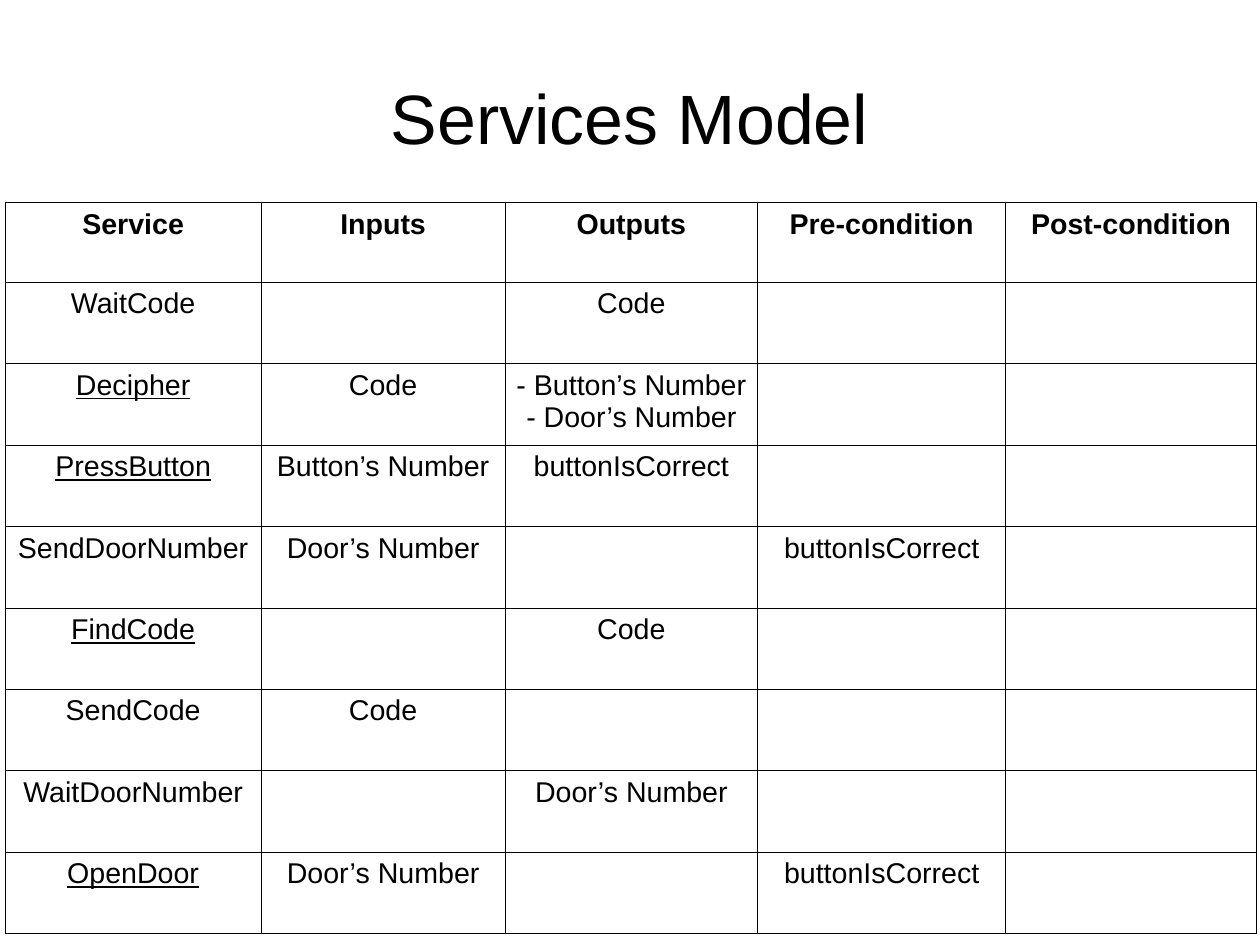
"""Build the Services Model slide with its table of services."""
from dataclasses import dataclass

from lxml import etree
from pptx import Presentation
from pptx.dml.color import RGBColor
from pptx.enum import text as tx
from pptx.oxml import ns
from pptx.util import Pt

INK = {"text": "000000", "rule": "000000", "page": "FFFFFF"}
FACE = "Arial"
HEADS = ["Service", "Inputs", "Outputs", "Pre-condition", "Post-condition"]
WIDTHS = [161.3, 153.6, 159.1, 156.2, 158]
HEAD_H, ROW_H = 50.4, 51.3


@dataclass
class Service:
    name: str
    takes: str = ""
    gives: str = ""
    needs: str = ""
    leaves: str = ""
    under: bool = False

    def cells(self) -> list[str]:
        return [self.name, self.takes, self.gives, self.needs, self.leaves]


ROWS = [
    Service("WaitCode", gives="Code"),
    Service("Decipher", "Code", "- Button’s Number\n- Door’s Number", under=True),
    Service("PressButton", "Button’s Number", "buttonIsCorrect", under=True),
    Service("SendDoorNumber", "Door’s Number", needs="buttonIsCorrect"),
    Service("FindCode", gives="Code", under=True),
    Service("SendCode", "Code"),
    Service("WaitDoorNumber", gives="Door’s Number"),
    Service("OpenDoor", "Door’s Number", needs="buttonIsCorrect", under=True),
]


def style(frame, size: float, bold: bool = False, under: bool = False) -> None:
    for para in frame.paragraphs:
        para.alignment = tx.PP_ALIGN.CENTER
        for run in para.runs:
            font = run.font
            font.name, font.size = FACE, Pt(size)
            font.bold, font.underline = bold, under
            font.color.rgb = RGBColor.from_string(INK["text"])


def border(cell) -> None:
    props = cell._tc.get_or_add_tcPr()
    for side in ("lnL", "lnR", "lnT", "lnB"):
        line = etree.SubElement(props, ns.qn(f"a:{side}"), w=str(Pt(0.57)))
        fill = etree.SubElement(line, ns.qn("a:solidFill"))
        etree.SubElement(fill, ns.qn("a:srgbClr"), val=INK["rule"])


def write(cell, words: str, bold: bool, under: bool) -> None:
    border(cell)
    cell.fill.background()
    cell.margin_left = cell.margin_right = Pt(6.6)
    cell.margin_top = cell.margin_bottom = Pt(3.6)
    cell.text_frame.text = words
    style(cell.text_frame, 18, bold, under)


def add_title(slide) -> None:
    title = slide.shapes.title
    title.left, title.top = Pt(39.6), Pt(23.8)
    title.width, title.height = Pt(714.2), Pt(99.4)
    frame = title.text_frame
    frame.text = "Services Model"
    frame.word_wrap = True
    frame.auto_size = tx.MSO_AUTO_SIZE.NONE
    frame.vertical_anchor = tx.MSO_ANCHOR.MIDDLE
    frame.margin_left = frame.margin_right = Pt(0)
    frame.margin_top = frame.margin_bottom = Pt(0)
    style(frame, 44)


def add_grid(slide) -> None:
    high = HEAD_H + ROW_H * len(ROWS)
    table = slide.shapes.add_table(
        len(ROWS) + 1, len(HEADS), Pt(3.2), Pt(127.5), Pt(sum(WIDTHS)), Pt(high)
    ).table
    table.first_row = table.horz_banding = False
    for col, width in zip(table.columns, WIDTHS):
        col.width = Pt(width)
    lines = [HEADS] + [row.cells() for row in ROWS]
    for r, line in enumerate(lines):
        table.rows[r].height = Pt(ROW_H if r else HEAD_H)
        for c, words in enumerate(line):
            under = r > 0 and c == 0 and ROWS[r - 1].under
            write(table.cell(r, c), words, r == 0, under)


def main() -> None:
    deck = Presentation()
    deck.slide_width, deck.slide_height = Pt(793.5), Pt(595.4)
    slide = deck.slides.add_slide(deck.slide_layouts[5])
    back = slide.background.fill
    back.solid()
    back.fore_color.rgb = RGBColor.from_string(INK["page"])
    add_title(slide)
    add_grid(slide)
    deck.save("out.pptx")


if __name__ == "__main__":
    main()
